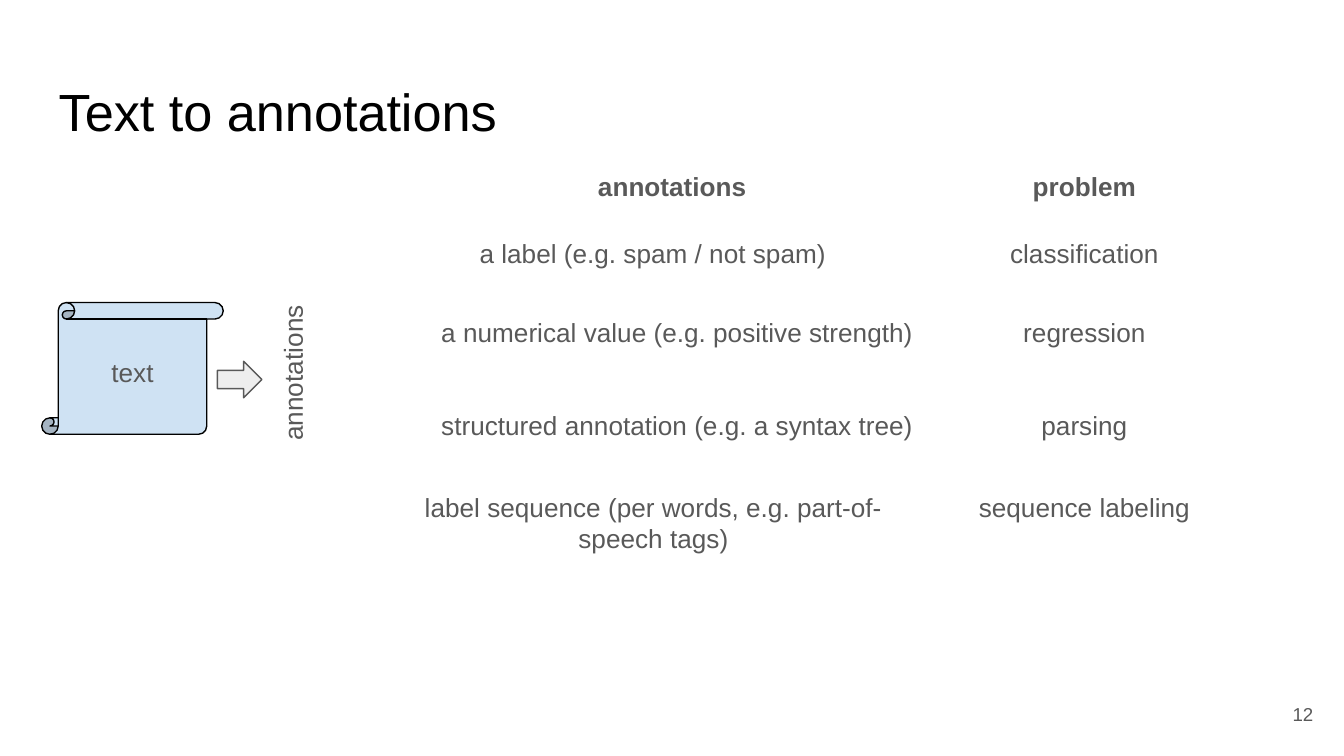
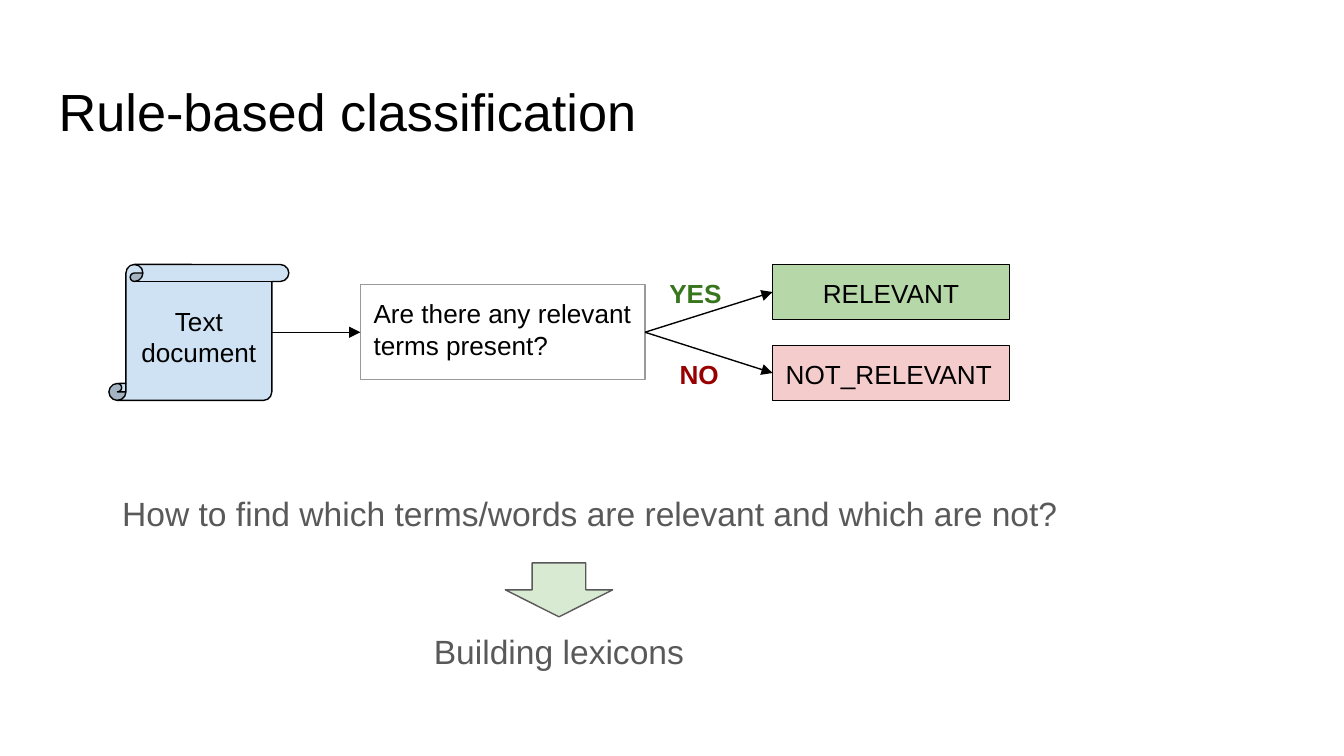
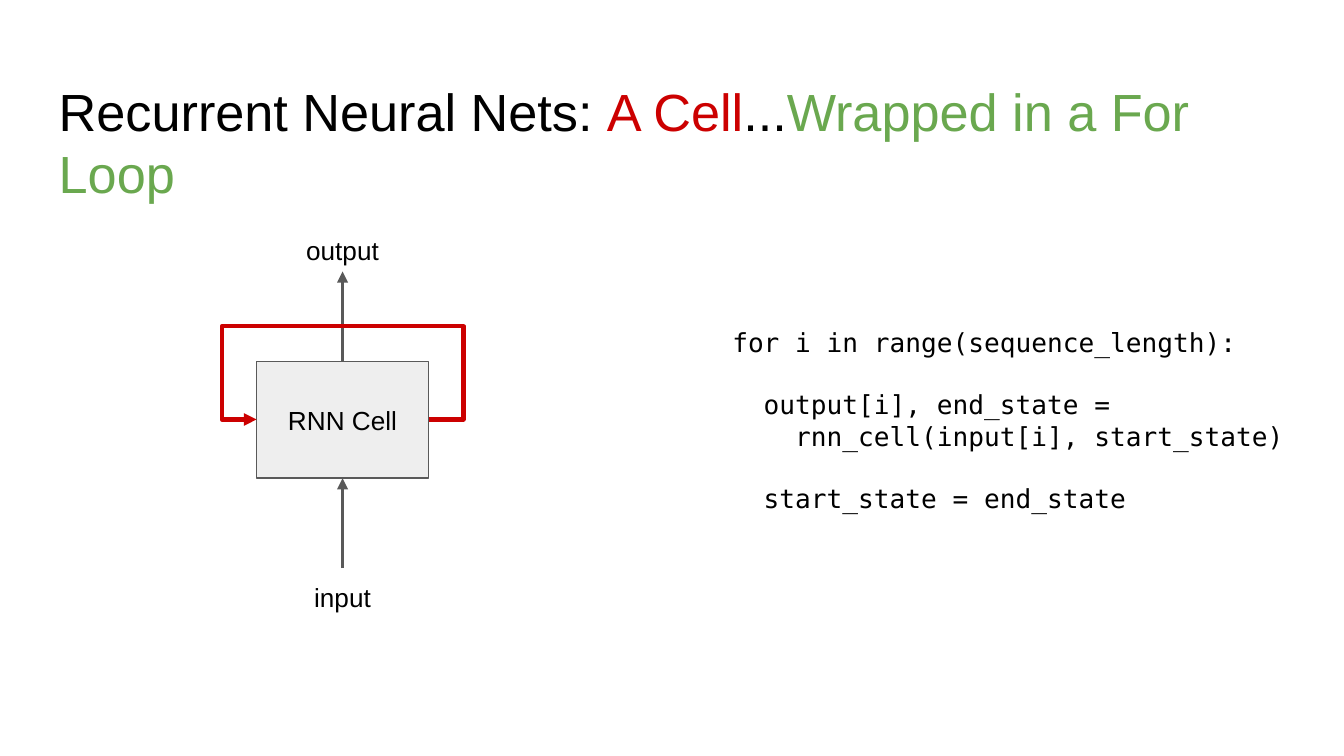
"""Build three slides on text annotation, rule-based classification and recurrent nets."""
from lxml.etree import SubElement
from pptx import Presentation
from pptx.dml.color import RGBColor
from pptx.enum.shapes import MSO_CONNECTOR, MSO_SHAPE
from pptx.enum.text import MSO_ANCHOR, MSO_AUTO_SIZE, PP_ALIGN
from pptx.oxml.ns import qn
from pptx.util import Cm, Pt

BLACK, GRAY, PALE_GRAY, PALE_BLUE = "000000", "595959", "EEEEEE", "CFE2F3"
RED, GREEN = "CC0000", "6AA84F"
LEFT, CENTER, RIGHT = PP_ALIGN.LEFT, PP_ALIGN.CENTER, PP_ALIGN.RIGHT
TOP, MIDDLE = MSO_ANCHOR.TOP, MSO_ANCHOR.MIDDLE


def color(hex_string):
    return RGBColor.from_string(hex_string)


class Deck:
    font = "Arial"
    code_font = "DejaVu Sans Mono"
    title_box = (0.86, 1.24, 23.67, 1.6)
    inset = Cm(0.25)

    def __init__(self):
        self.presentation = Presentation()
        self.presentation.slide_width = Cm(25.4)
        self.presentation.slide_height = Cm(14.29)
        self.slide = None

    def new_slide(self, *title_runs):
        layout = self.presentation.slide_layouts.get_by_name("Title Only")
        self.slide = self.presentation.slides.add_slide(layout)
        title = self.slide.shapes.title
        title.left, title.top, title.width, title.height = map(Cm, self.title_box)
        frame = self.prepare_frame(title, TOP)
        frame.paragraphs[0].alignment = LEFT
        for text, ink in title_runs:
            self.add_run(frame.paragraphs[0], text, ink, 28)

    def prepare_frame(self, shape, anchor):
        frame = shape.text_frame
        frame.word_wrap = True
        frame.auto_size = MSO_AUTO_SIZE.NONE
        frame.vertical_anchor = anchor
        frame.margin_left = frame.margin_right = self.inset
        frame.margin_top = frame.margin_bottom = self.inset
        return frame

    def add_run(self, paragraph, text, ink, size, bold=False, font=None):
        run = paragraph.add_run()
        run.text = text
        run.font.name = font or self.font
        run.font.size = Pt(size)
        run.font.bold = bold
        run.font.color.rgb = color(ink)

    def fill_text(self, shape, text, ink, size=14, align=CENTER, anchor=TOP, bold=False):
        paragraph = self.prepare_frame(shape, anchor).paragraphs[0]
        paragraph.alignment = align
        self.add_run(paragraph, text, ink, size, bold)

    def text(self, box, text, ink=GRAY, **style):
        shape = self.slide.shapes.add_textbox(*map(Cm, box))
        self.fill_text(shape, text, ink, **style)
        return shape

    def code(self, box, lines):
        shape = self.slide.shapes.add_textbox(*map(Cm, box))
        frame = self.prepare_frame(shape, MIDDLE)
        for index, (text, space_before) in enumerate(lines):
            paragraph = frame.add_paragraph() if index else frame.paragraphs[0]
            paragraph.space_before = Pt(space_before)
            self.add_run(paragraph, text, BLACK, 14, font=self.code_font)

    def shape(self, kind, box, fill, line, text="", ink=BLACK, **style):
        shape = self.slide.shapes.add_shape(kind, *map(Cm, box))
        shape.shadow.inherit = False
        if fill:
            shape.fill.solid()
            shape.fill.fore_color.rgb = color(fill)
        else:
            shape.fill.background()
        self.style_line(shape, line, 0.75)
        if text:
            self.fill_text(shape, text, ink, **style)
        return shape

    def scroll(self, box, text, ink):
        return self.shape(MSO_SHAPE.VERTICAL_SCROLL, box, PALE_BLUE, BLACK, text, ink,
                          anchor=MIDDLE)

    def style_line(self, shape, ink, width):
        shape.line.color.rgb = color(ink)
        shape.line.width = Pt(width)

    def add_arrowhead(self, shape):
        line = shape.element.spPr.get_or_add_ln()
        SubElement(line, qn("a:tailEnd"), type="triangle")

    def arrow(self, start, end, ink=BLACK, width=0.75, begin=None, finish=None):
        connector = self.slide.shapes.add_connector(
            MSO_CONNECTOR.STRAIGHT, *map(Cm, start + end))
        self.style_line(connector, ink, width)
        self.add_arrowhead(connector)
        SubElement(connector.element.spPr, qn("a:effectLst"))
        if begin:
            connector.begin_connect(*begin)
        if finish:
            connector.end_connect(*finish)

    def loop_arrow(self, points, ink, width):
        start, *corners = [(Cm(x), Cm(y)) for x, y in points]
        builder = self.slide.shapes.build_freeform(*start)
        builder.add_line_segments(corners, close=False)
        loop = builder.convert_to_shape()
        loop.shadow.inherit = False
        loop.fill.background()
        self.style_line(loop, ink, width)
        self.add_arrowhead(loop)


def add_annotations_slide(deck):
    deck.new_slide(("Text to annotations", BLACK))
    deck.scroll((0.79, 5.72, 3.43, 2.49), "text", GRAY)
    deck.shape(MSO_SHAPE.RIGHT_ARROW, (4.11, 6.83, 0.84, 0.69), PALE_GRAY, GRAY)
    deck.text((3.71, 6.48, 3.68, 1.14), "annotations").rotation = 270
    rows = [
        (2.97, 9.91, 5.59, "annotations", "problem"),
        (4.24, 7.77, 9.14, "a label (e.g. spam / not spam)", "classification"),
        (5.74, 7.77, 10.06, "a numerical value (e.g. positive strength)", "regression"),
        (7.49, 7.77, 10.06, "structured annotation (e.g. a syntax tree)", "parsing"),
        (9.04, 7.32, 10.06, "label sequence (per words, e.g. part-of-speech tags)",
         "sequence labeling"),
    ]
    for index, (top, left, width, annotation, problem) in enumerate(rows):
        is_header = index == 0
        deck.text((left, top, width, 1.14), annotation, bold=is_header)
        deck.text((17.7, top, 5.59, 1.14), problem, bold=is_header)
    deck.text((23.55, 12.95, 1.52, 1.09), "12", size=10, align=RIGHT, anchor=MIDDLE)


def add_rules_slide(deck):
    deck.new_slide(("Rule-based classification", BLACK))
    deck.scroll((2.06, 5, 3.4, 2.57), "Text document", BLACK)
    question = deck.shape(MSO_SHAPE.RECTANGLE, (6.81, 5.38, 5.38, 1.8), None, "999999",
                          "Are there any relevant terms present?", align=LEFT)
    deck.arrow((5.13, 6.28), (6.81, 6.28), finish=(question, 1))
    outcomes = [
        (5, "YES", "38761D", LEFT, "RELEVANT", "B6D7A8", CENTER),
        (6.53, "NO", "980000", CENTER, "NOT_RELEVANT", "F4CCCC", LEFT),
    ]
    for top, answer, ink, answer_align, label, fill, label_align in outcomes:
        outcome = deck.shape(MSO_SHAPE.RECTANGLE, (14.6, top, 4.48, 1.04), fill, BLACK,
                             label, align=label_align)
        deck.arrow((12.19, 6.28), (14.6, top + 0.52),
                   begin=(question, 3), finish=(outcome, 1))
        deck.text((12.4, top, 1.63, 1.04), answer, ink, align=answer_align, bold=True)
    deck.text((2.06, 9.07, 20.37, 1.35),
              "How to find which terms/words are relevant and which are not?",
              size=18, align=LEFT)
    deck.shape(MSO_SHAPE.DOWN_ARROW, (9.55, 10.64, 2.03, 1.02), "D9EAD3", GRAY)
    deck.text((6.63, 11.68, 7.87, 1.35), "Building lexicons", size=18)


def add_recurrent_slide(deck):
    deck.new_slide(("Recurrent Neural Nets: ", BLACK), ("A Cell", RED),
                   ("...", BLACK), ("Wrapped in a For Loop", GREEN))
    cell = deck.shape(MSO_SHAPE.RECTANGLE, (4.85, 6.83, 3.25, 2.21), PALE_GRAY, GRAY,
                      "RNN Cell", anchor=MIDDLE)
    output_label = deck.text((4.85, 4.19, 3.25, 0.94), "output", BLACK)
    input_label = deck.text((4.85, 10.74, 3.25, 0.94), "input", BLACK)
    deck.arrow((6.48, 10.74), (6.48, 9.04), GRAY, 1.5, (input_label, 0), (cell, 2))
    deck.arrow((6.48, 6.83), (6.48, 5.13), GRAY, 1.5, (cell, 0), (output_label, 2))
    deck.loop_arrow([(8.1, 7.93), (8.76, 7.93), (8.76, 6.17), (4.19, 6.17),
                     (4.19, 7.93), (4.85, 7.93)], RED, 2.25)
    deck.code((13.59, 3.05, 11.3, 9.78), [
        ("for i in range(sequence_length):", 0),
        ("  output[i], end_state =", 16.5),
        ("    rnn_cell(input[i], start_state)", 0),
        ("  start_state = end_state", 16.5),
    ])


def main():
    deck = Deck()
    add_annotations_slide(deck)
    add_rules_slide(deck)
    add_recurrent_slide(deck)
    deck.presentation.save("out.pptx")


if __name__ == "__main__":
    main()
